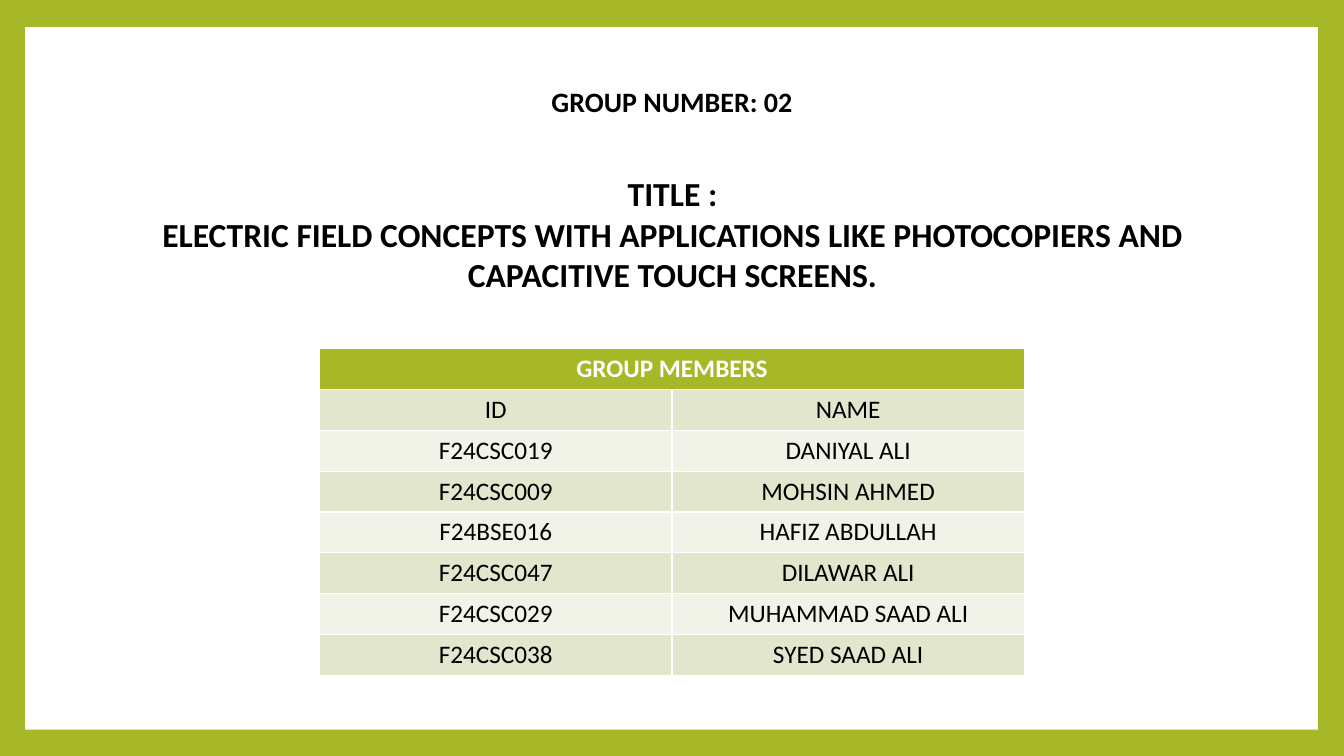
"""Build the group slide with its title and table of members."""
from pptx import Presentation
from pptx.dml.color import RGBColor
from pptx.enum.shapes import MSO_SHAPE
from pptx.enum.text import MSO_ANCHOR, MSO_AUTO_SIZE, PP_ALIGN
from pptx.util import Inches, Pt

RECT = MSO_SHAPE.RECTANGLE
MIDDLE = MSO_ANCHOR.MIDDLE
TOP = MSO_ANCHOR.TOP
FIXED = MSO_AUTO_SIZE.NONE
CENTER = PP_ALIGN.CENTER

GREEN = RGBColor(0xA6, 0xB7, 0x27)
WHITE = RGBColor(0xFF, 0xFF, 0xFF)
BLACK = RGBColor(0x00, 0x00, 0x00)
BANDS = [RGBColor(0xF1, 0xF3, 0xE8), RGBColor(0xE1, 0xE6, 0xCD)]

ROWS = [
    ("GROUP MEMBERS", ""),
    ("ID", "NAME"),
    ("F24CSC019", "DANIYAL ALI"),
    ("F24CSC009", "MOHSIN AHMED"),
    ("F24BSE016", "HAFIZ ABDULLAH"),
    ("F24CSC047", "DILAWAR ALI"),
    ("F24CSC029", "MUHAMMAD SAAD ALI"),
    ("F24CSC038", "SYED SAAD ALI"),
]


def write(frame, text, size=18, color=BLACK, bold=False):
    frame.text = text
    for para in frame.paragraphs:
        para.alignment = CENTER
        for run in para.runs:
            run.font.name = "Calibri"
            run.font.size = Pt(size)
            run.font.bold = bold
            run.font.color.rgb = color


deck = Presentation()
deck.slide_width = Inches(13.33)
deck.slide_height = Inches(7.5)
slide = deck.slides.add_slide(deck.slide_layouts[5])
slide.background.fill.solid()
slide.background.fill.fore_color.rgb = GREEN

title = slide.shapes.title
title.left, title.top = Inches(1.47), Inches(1.67)
title.width, title.height = Inches(10.4), Inches(1.31)
title.text_frame.auto_size = FIXED
title.text_frame.vertical_anchor = TOP
write(
    title.text_frame,
    "TITLE :\nELECTRIC FIELD CONCEPTS WITH APPLICATIONS LIKE "
    "PHOTOCOPIERS AND CAPACITIVE TOUCH SCREENS.",
    size=24,
    bold=True,
)

panel = slide.shapes.add_shape(
    RECT, Inches(0.25), Inches(0.27), Inches(12.82), Inches(6.97))
panel.shadow.inherit = False
panel.fill.solid()
panel.fill.fore_color.rgb = WHITE
panel.line.fill.background()
title.element.addprevious(panel.element)

group = slide.shapes.add_textbox(
    Inches(5.36), Inches(0.79), Inches(2.61), Inches(0.44))
group.text_frame.word_wrap = False
write(group.text_frame, "GROUP NUMBER: 02", size=20, bold=True)

table = slide.shapes.add_table(
    len(ROWS), 2, Inches(3.17), Inches(3.46), Inches(6.99), Inches(3.24)).table
table.cell(0, 0).merge(table.cell(0, 1))
for r, row in enumerate(ROWS):
    head = r == 0
    for c, text in enumerate(row):
        cell = table.cell(r, c)
        cell.fill.solid()
        cell.fill.fore_color.rgb = GREEN if head else BANDS[r % 2]
        cell.vertical_anchor = MIDDLE
        if text:
            write(cell.text_frame, text, color=WHITE if head else BLACK, bold=head)

deck.save("out.pptx")
